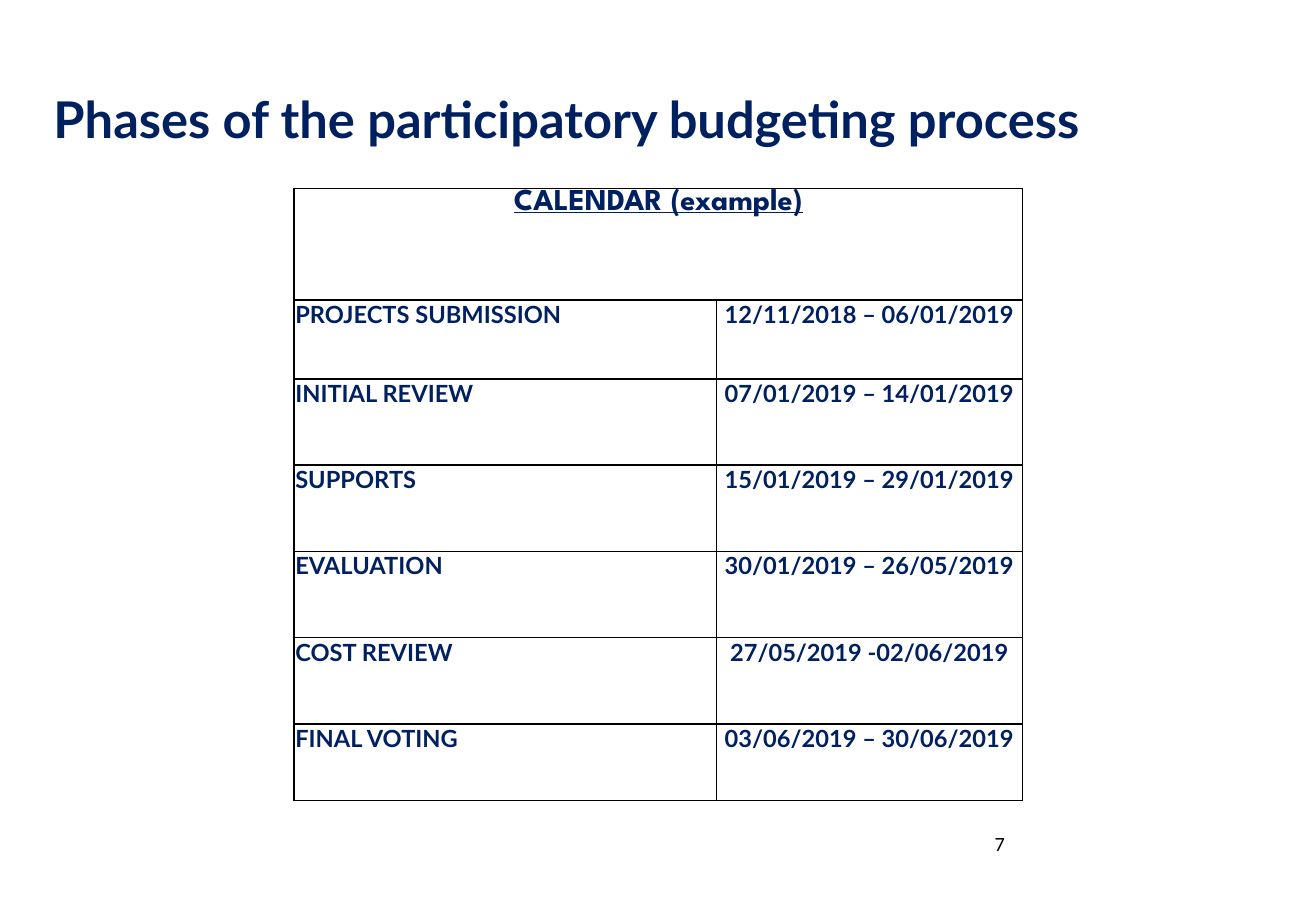
from dataclasses import dataclass

from lxml import etree
from pptx import Presentation
from pptx.dml.color import RGBColor
from pptx.enum.text import MSO_ANCHOR, MSO_AUTO_SIZE, PP_ALIGN
from pptx.oxml.ns import qn
from pptx.slide import Slide
from pptx.table import _Cell
from pptx.text.text import TextFrame
from pptx.util import Inches, Pt

LEFT, CENTER, RIGHT = PP_ALIGN.LEFT, PP_ALIGN.CENTER, PP_ALIGN.RIGHT
MIDDLE = MSO_ANCHOR.MIDDLE
FIT_SHAPE = MSO_AUTO_SIZE.SHAPE_TO_FIT_TEXT
NAVY = RGBColor(0x00, 0x20, 0x60)
BLACK = RGBColor(0x00, 0x00, 0x00)

# The slide is laid out on a square grid, ten steps to the inch
GRID = Inches(0.1)
SLIDE_COLUMNS, SLIDE_ROWS = 108.3, 75
TEXT_INSET = 0.5
CELL_INSET = 0.1
BORDER_WIDTH = Pt(0.96)
LINE_SPACING = 0.98


def steps(count: float) -> int:
    return round(count * GRID)


@dataclass(frozen=True)
class Box:
    left: float
    top: float
    width: float
    height: float

    def lengths(self) -> tuple[int, ...]:
        return tuple(steps(n) for n in (self.left, self.top, self.width, self.height))


@dataclass(frozen=True)
class TextStyle:
    font: str
    size: float
    color: RGBColor = NAVY
    bold: bool = True
    underline: bool = False


@dataclass(frozen=True)
class Phase:
    name: str
    dates: str
    height: float


TITLE_STYLE = TextStyle("Lato", 30)
HEADING_STYLE = TextStyle("League Spartan", 18, underline=True)
PHASE_STYLE = TextStyle("Lato", 14)
NUMBER_STYLE = TextStyle("Calibri", 12, BLACK, bold=False)

TABLE_LEFT, TABLE_TOP = 24.2, 15.5
NAME_WIDTH, DATES_WIDTH = 34.75, 25.2
HEADING_HEIGHT = 9.2
PHASES = (
    Phase("PROJECTS SUBMISSION", "12/11/2018 – 06/01/2019", 6.5),
    Phase("INITIAL REVIEW", "07/01/2019 – 14/01/2019", 7.1),
    Phase("SUPPORTS", "15/01/2019 – 29/01/2019", 7.1),
    Phase("EVALUATION", "30/01/2019 – 26/05/2019", 7.1),
    Phase("COST REVIEW", "27/05/2019 -02/06/2019", 7.1),
    Phase("FINAL VOTING", "03/06/2019 – 30/06/2019", 6.3),
)


def write(frame: TextFrame, text: str, style: TextStyle, alignment: PP_ALIGN) -> None:
    paragraph = frame.paragraphs[0]
    paragraph.alignment = alignment
    run = paragraph.add_run()
    run.text = text
    run.font.name = style.font
    run.font.size = Pt(style.size)
    run.font.bold = style.bold
    run.font.underline = style.underline
    run.font.color.rgb = style.color


def add_text(slide: Slide, box: Box, text: str, style: TextStyle,
             alignment: PP_ALIGN, wrap: bool) -> None:
    frame = slide.shapes.add_textbox(*box.lengths()).text_frame
    frame.word_wrap = wrap
    frame.auto_size = FIT_SHAPE
    frame.vertical_anchor = MIDDLE
    frame.margin_left = frame.margin_right = steps(TEXT_INSET)
    frame.margin_top = frame.margin_bottom = steps(TEXT_INSET)
    write(frame, text, style, alignment)


def frame_cell(cell: _Cell) -> None:
    cell.margin_left = cell.margin_right = steps(CELL_INSET)
    cell.margin_top = cell.margin_bottom = steps(CELL_INSET)
    properties = cell._tc.get_or_add_tcPr()
    for side in ("a:lnL", "a:lnR", "a:lnT", "a:lnB"):
        border = etree.SubElement(properties, qn(side), w=str(BORDER_WIDTH))
        fill = etree.SubElement(border, qn("a:solidFill"))
        etree.SubElement(fill, qn("a:srgbClr"), val=str(BLACK))
    cell.fill.background()


def write_cell(cell: _Cell, text: str, style: TextStyle, alignment: PP_ALIGN) -> None:
    write(cell.text_frame, text, style, alignment)
    cell.text_frame.paragraphs[0].line_spacing = LINE_SPACING


def add_calendar(slide: Slide) -> None:
    widths = (NAME_WIDTH, DATES_WIDTH)
    heights = (HEADING_HEIGHT, *(phase.height for phase in PHASES))
    box = Box(TABLE_LEFT, TABLE_TOP, sum(widths), sum(heights))
    table = slide.shapes.add_table(len(heights), len(widths), *box.lengths()).table
    table.first_row = table.horz_banding = False
    for column, width in zip(table.columns, widths):
        column.width = steps(width)
    for row, height in zip(table.rows, heights):
        row.height = steps(height)
    for cell in table.iter_cells():
        frame_cell(cell)

    # Heading across both columns, then one row per phase
    heading = table.cell(0, 0)
    heading.merge(table.cell(0, 1))
    write_cell(heading, "CALENDAR (example)", HEADING_STYLE, CENTER)
    for index, phase in enumerate(PHASES, start=1):
        write_cell(table.cell(index, 0), phase.name, PHASE_STYLE, LEFT)
        write_cell(table.cell(index, 1), phase.dates, PHASE_STYLE, CENTER)


presentation = Presentation()
presentation.slide_width = steps(SLIDE_COLUMNS)
presentation.slide_height = steps(SLIDE_ROWS)
slide = presentation.slides.add_slide(presentation.slide_layouts[6])

# Title, page number and calendar
add_text(slide, Box(3.9, 4.4, 132.5, 10.6),
         "Phases of the participatory budgeting process", TITLE_STYLE, LEFT, wrap=True)
add_text(slide, Box(81.2, 68, 2, 2.9), "7", NUMBER_STYLE, RIGHT, wrap=False)
add_calendar(slide)

presentation.save("out.pptx")
